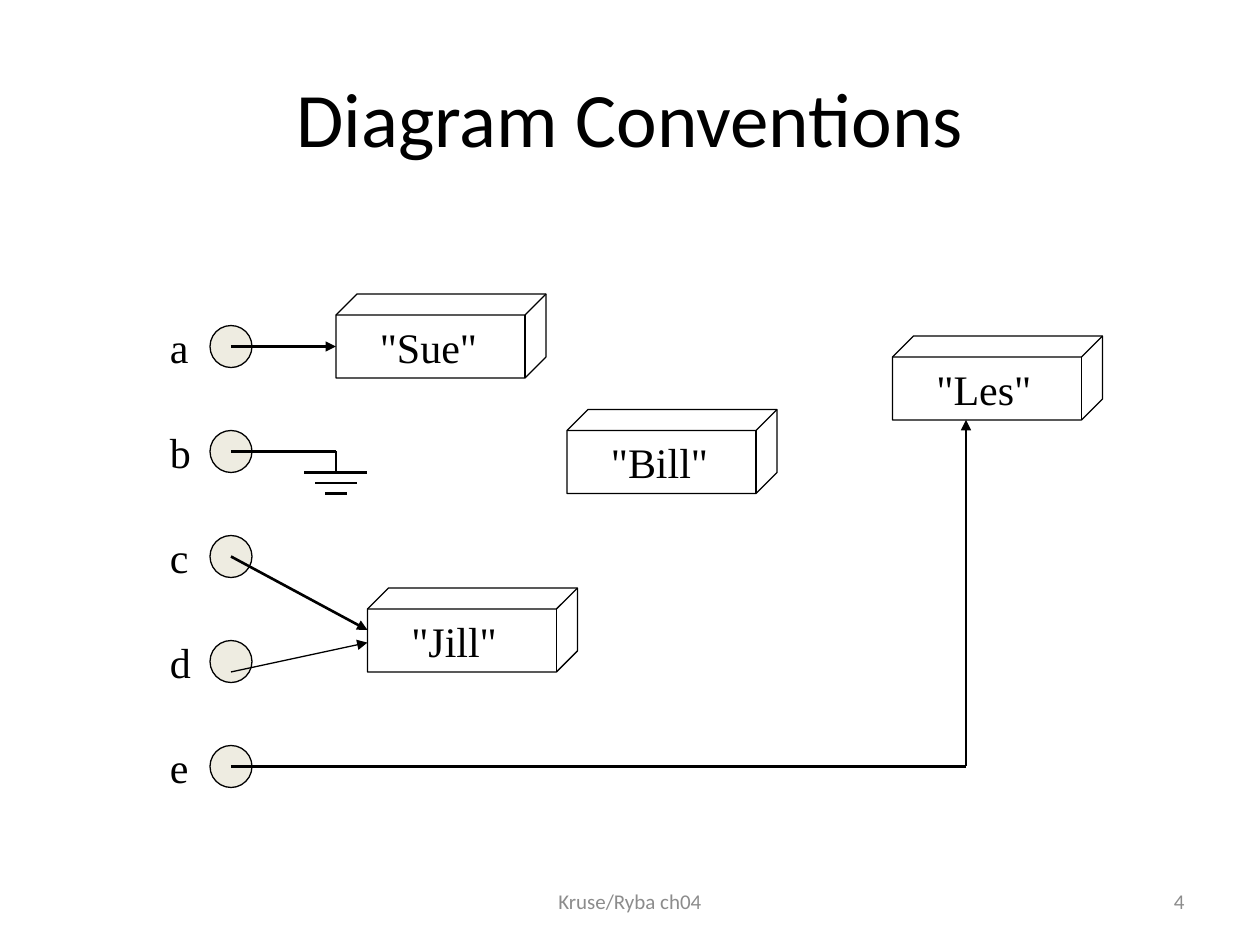
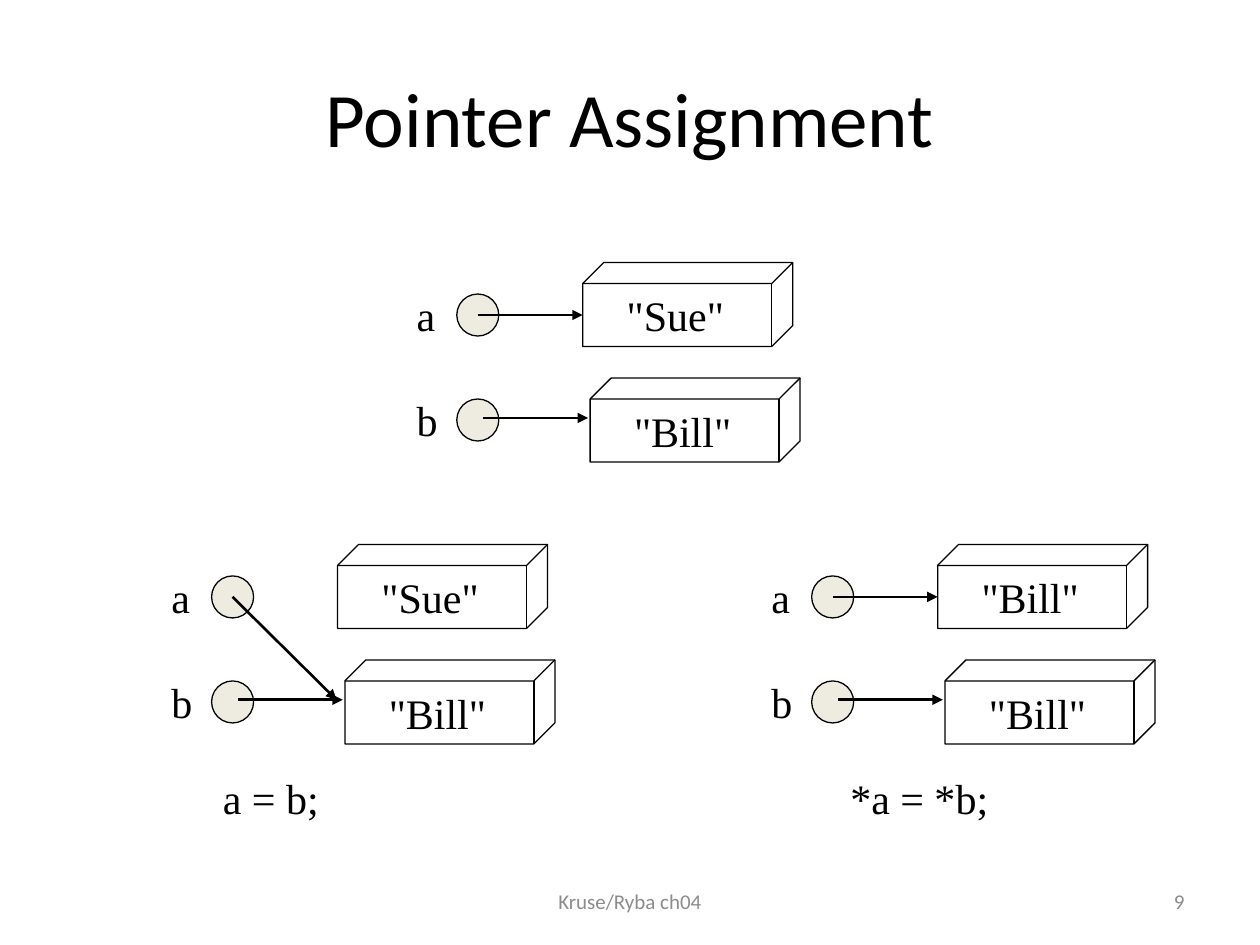
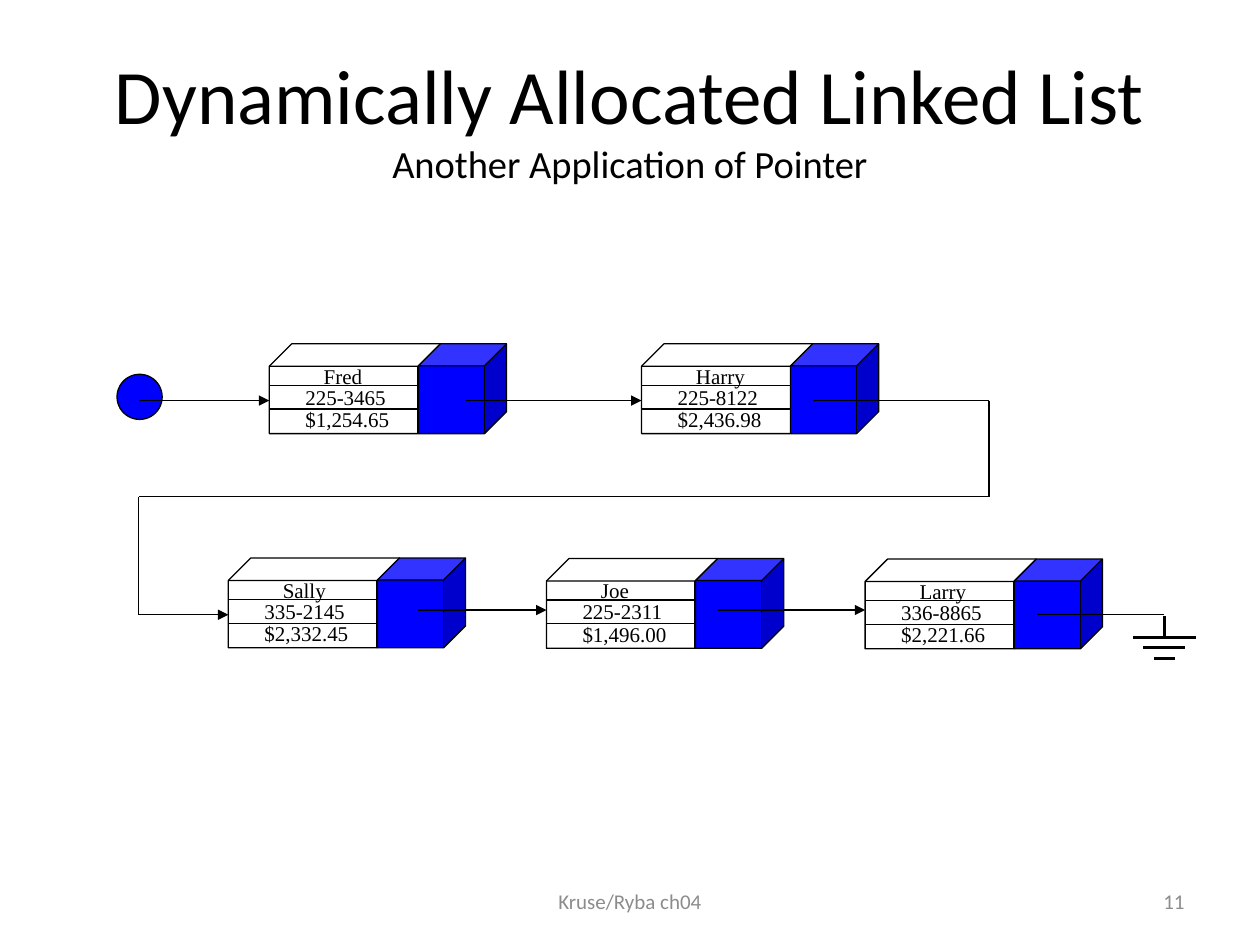
from itertools import pairwise

from lxml import etree
from pptx import Presentation
from pptx.dml.color import RGBColor
from pptx.enum.shapes import MSO_CONNECTOR as CONN, MSO_SHAPE as SHAPE
from pptx.enum.text import MSO_ANCHOR as ANCHOR, MSO_AUTO_SIZE as AUTO, PP_ALIGN as ALIGN
from pptx.oxml.ns import qn
from pptx.util import Inches, Pt

# Grid: 120 columns by 90 rows, 12 to the inch
COLS, ROWS, PER_INCH = 120, 90, 12
BLACK, GREY, CREAM, BLUE = "000000", "8C8C8C", "EEECE1", "0000FF"
SANS, SERIF = "Calibri", "Times New Roman"
THIN, THICK = 0.75, 1.5
CUBE_W, CUBE_H, ROW_STEP = 20, 8, 10
FOOTER = "Kruse/Ryba ch04"


def u(n):
    return Inches(n / PER_INCH)


def color(hex_code):
    return RGBColor.from_string(hex_code)


def set_font(r, name, size, hex_code=BLACK):
    for key, value in {"name": name, "size": Pt(size)}.items():
        setattr(r.font, key, value)
    r.font.color.rgb = color(hex_code)


def text(slide, words, x, y, w, h, size=24, name=SERIF, hex_code=BLACK,
         align=ALIGN.LEFT, anchor=ANCHOR.TOP):
    tf = slide.shapes.add_textbox(u(x), u(y), u(w), u(h)).text_frame
    fmt = {"word_wrap": True, "vertical_anchor": anchor,
           "auto_size": AUTO.SHAPE_TO_FIT_TEXT if anchor == ANCHOR.TOP else AUTO.NONE}
    for key, value in fmt.items():
        setattr(tf, key, value)
    p = tf.paragraphs[0]
    p.alignment = align
    r = p.add_run()
    r.text = words
    set_font(r, name, size, hex_code)


def shape(slide, kind, x, y, w, h, fill=None):
    sp = slide.shapes.add_shape(kind, u(x), u(y), u(w), u(h))
    sp.shadow.inherit = False
    if fill:
        sp.fill.solid()
        sp.fill.fore_color.rgb = color(fill)
    else:
        sp.fill.background()
    sp.line.color.rgb = color(BLACK)
    sp.line.width = Pt(THIN)


def line(slide, points, width=THICK, arrow=False):
    """Joins the points with straight lines; the arrowhead is on the last."""
    for start, end in pairwise(points):
        cx = slide.shapes.add_connector(CONN.STRAIGHT, *map(u, (*start, *end)))
        cx.line.color.rgb = color(BLACK)
        cx.line.width = Pt(width)
        sp_pr = cx._element.spPr
        etree.SubElement(sp_pr, qn("a:effectLst"))
    if arrow:
        etree.SubElement(sp_pr.find(qn("a:ln")), qn("a:tailEnd"), type="triangle")


def new_slide(prs, number, title, subtitle=None):
    slide = prs.slides.add_slide(prs.slide_layouts[5])
    # Title
    sp = slide.shapes.title
    sp.left, sp.top, sp.width, sp.height = map(u, (6, 3.6, 108, 15))
    tf = sp.text_frame
    tf.vertical_anchor, tf.auto_size = ANCHOR.MIDDLE, AUTO.NONE
    p = tf.paragraphs[0]
    p.alignment = ALIGN.CENTER
    r = p.add_run()
    r.text = title
    set_font(r, SANS, 44)
    if subtitle:
        p.add_line_break()
        r = p.add_run()
        r.text = subtitle
        set_font(r, SANS, 22)
    # Footer and slide number
    for words, x, w, align in ((FOOTER, 41, 38, ALIGN.CENTER),
                               (str(number), 86, 28, ALIGN.RIGHT)):
        text(slide, words, x, 83.4, w, 4.8, 12, SANS, GREY, align, ANCHOR.MIDDLE)
    return slide


# Diagram parts
def pointer(slide, name, x, y):
    text(slide, name, x, y, 5, 6)
    shape(slide, SHAPE.OVAL, x + 5, y + 1, 4, 4, CREAM)


def value_cube(slide, value, x, y):
    shape(slide, SHAPE.CUBE, x, y, CUBE_W, CUBE_H)
    text(slide, f'"{value}"', x + 3, y + 2, 15, 6)


def ground(slide, x, y):
    line(slide, [(x, y - 2), (x, y)])
    for i, half in enumerate((3, 2, 1)):
        line(slide, [(x - half, y + i), (x + half, y + i)])


def node(slide, record, x, y):
    data_w = 14.2
    shape(slide, SHAPE.CUBE, x, y, 16.3, 8.55)
    shape(slide, SHAPE.CUBE, x + data_w, y, 8.4, 8.55, BLUE)
    for dy in (3.95, 6.2):
        line(slide, [(x, y + dy), (x + data_w, y + dy)], THIN)
    cells = ((4, 1.25, 8), (2.25, 3.25, 13.45), (2.25, 5.4, 13.45))
    for words, (dx, dy, w) in zip(record, cells):
        text(slide, words, x + dx, y + dy, w, 3.6, 12)


def assignment(slide, x, y, values, crossed=False):
    """Two pointers, a and b, with the cubes they point to."""
    for i, (name, value) in enumerate(zip("ab", values)):
        pointer(slide, name, x, y + i * ROW_STEP)
        value_cube(slide, value, x + 17 + 0.7 * i, y - 2 + 11 * i)
    a_end = (x + 16.9, y + 12.8) if crossed else (x + 17, y + 3)
    line(slide, [(x + 7, y + 3), a_end], arrow=True)
    line(slide, [(x + 7.5, y + 12.8), (x + 17.5, y + 12.8)], arrow=True)


# Slides
def conventions_slide(prs):
    slide = new_slide(prs, 4, "Diagram Conventions")
    for i, name in enumerate("abcde"):
        pointer(slide, name, 15, 30 + i * ROW_STEP)
    for value, x, y in (("Sue", 32, 28), ("Bill", 54, 39),
                        ("Les", 85, 32), ("Jill", 35, 56)):
        value_cube(slide, value, x, y)
    dot = 22
    line(slide, [(dot, 33), (32, 33)], arrow=True)
    line(slide, [(dot, 43), (32, 43)])
    ground(slide, 32, 45)
    line(slide, [(dot, 53), (35, 60)], arrow=True)
    line(slide, [(dot, 64), (35, 61.2)], THIN, arrow=True)
    line(slide, [(dot, 73), (92, 73), (92, 40)], arrow=True)


def assignment_slide(prs):
    slide = new_slide(prs, 9, "Pointer Assignment")
    left, right, lower = 15.15, 72.3, 53.85
    assignment(slide, 38.5, 27, ("Sue", "Bill"))
    assignment(slide, left, lower, ("Sue", "Bill"), crossed=True)
    assignment(slide, right, lower, ("Bill", "Bill"))
    text(slide, "a = b;", left + 4.9, lower + 19.1, 34.8, 6)
    text(slide, "*a = *b;", right + 7.5, lower + 19.1, 17.3, 6)


def linked_list_slide(prs):
    slide = new_slide(prs, 11, "Dynamically Allocated Linked List",
                      "Another Application of Pointer")
    fred, harry, sally, joe, larry = 25.65, 61.1, 21.75, 52.05, 82.4
    for x, y, *record in (
            (fred, 32.75, "Fred", "225-3465", "$1,254.65"),
            (harry, 32.75, "Harry", "225-8122", "$2,436.98"),
            (sally, 53.15, "Sally", "335-2145", "$2,332.45"),
            (joe, 53.2, "Joe", "225-2311", "$1,496.00"),
            (larry, 53.25, "Larry", "336-8865", "$2,221.66")):
        node(slide, record, x, y)
    # Head pointer
    shape(slide, SHAPE.OVAL, 11.15, 35.65, 4.3, 4.3, BLUE)
    # Links within the rows
    head, upper, lower, entry = 13.2, 38.15, 58.1, 58.55
    for start, end, y in ((head, fred, upper), (fred + 18.65, harry, upper),
                          (sally + 18.1, joe, lower), (joe + 16.35, larry, lower)):
        line(slide, [(start, y), (end, y)], THIN, arrow=True)
    # Link from the upper row to the lower
    turn, between = 94.2, 47.3
    line(slide, [(harry + 16.3, upper), (turn, upper), (turn, between),
                 (head, between), (head, entry), (sally, entry)], THIN, arrow=True)
    # End of the list
    line(slide, [(larry + 16.35, entry), (110.9, entry)], THIN)
    ground(slide, 110.9, 60.7)


def main():
    prs = Presentation()
    prs.slide_width, prs.slide_height = u(COLS), u(ROWS)
    conventions_slide(prs)
    assignment_slide(prs)
    linked_list_slide(prs)
    prs.save("out.pptx")


if __name__ == "__main__":
    main()
